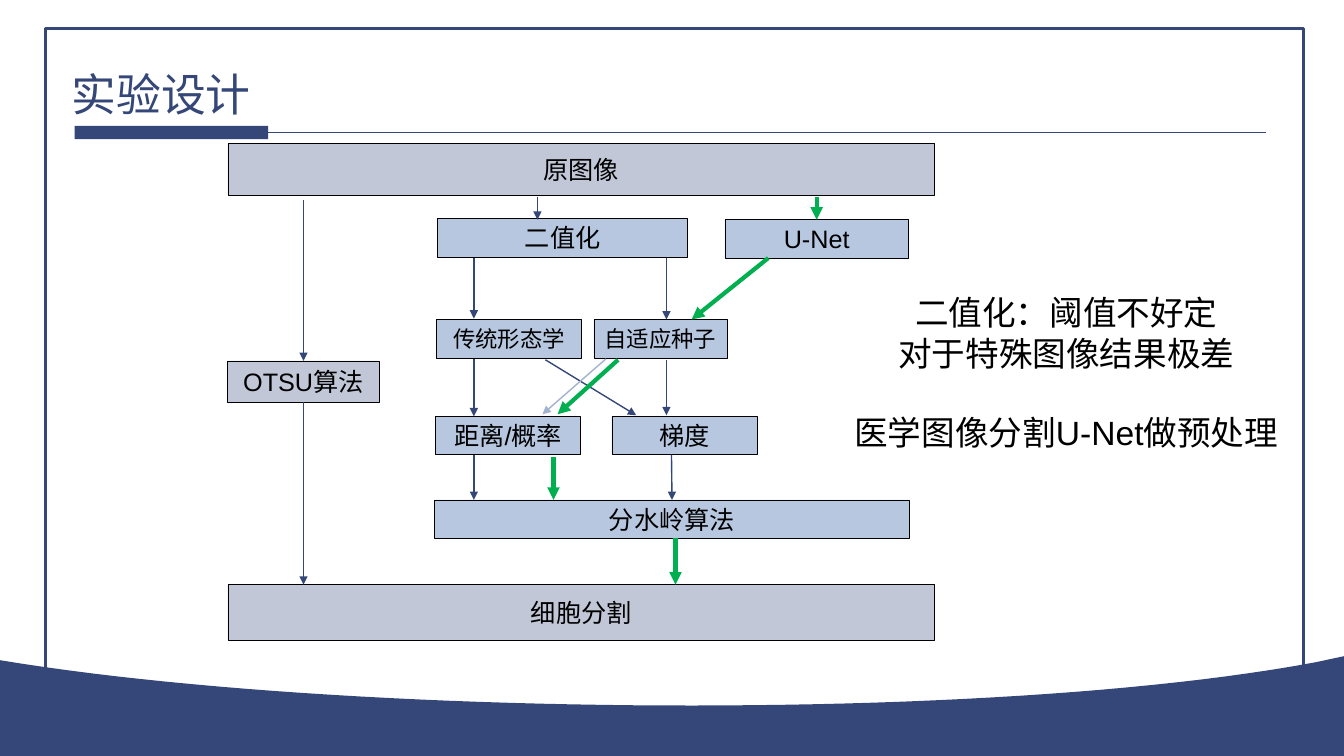
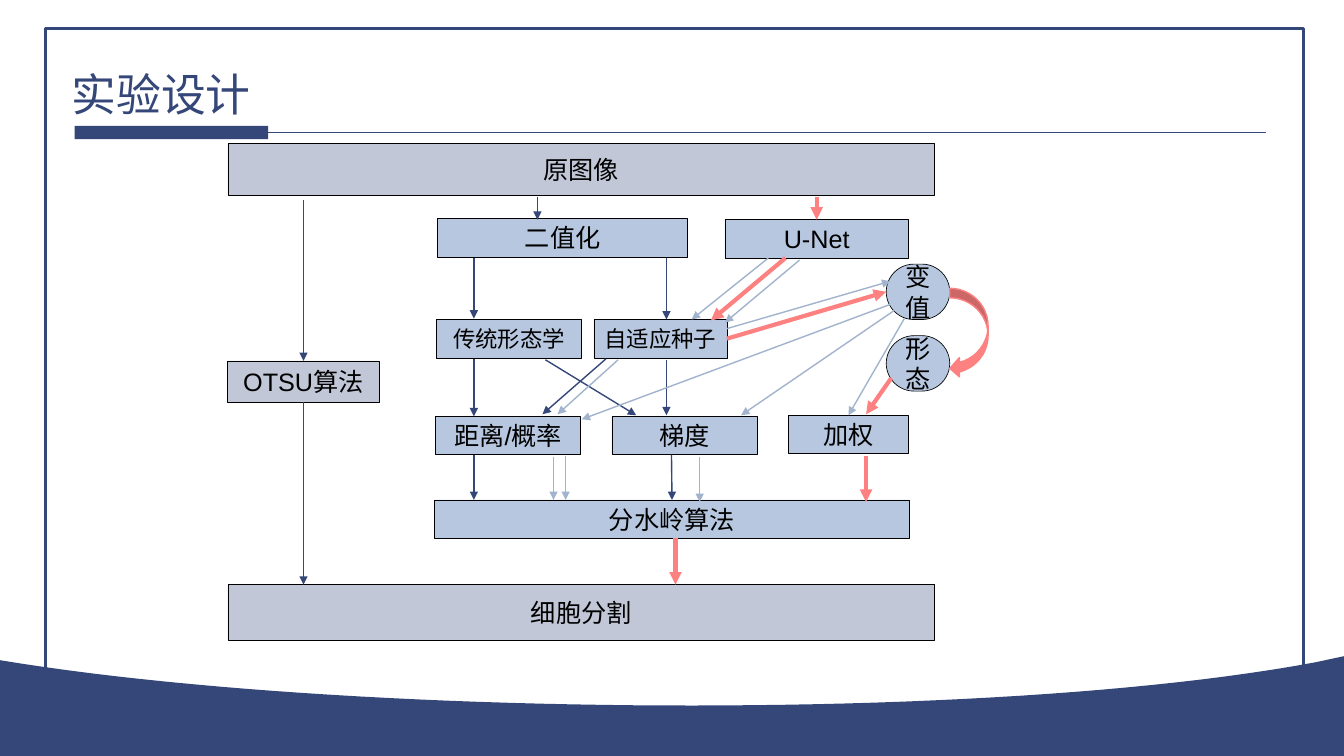
from lxml import etree
from pptx import Presentation
from pptx.dml.color import RGBColor
from pptx.enum.shapes import MSO_CONNECTOR as Connector, MSO_SHAPE as Preset
from pptx.enum.text import MSO_ANCHOR as Anchor, MSO_AUTO_SIZE as AutoSize, PP_ALIGN as Align
from pptx.oxml.ns import qn
from pptx.util import Inches, Pt

WIDTH, HEIGHT = 13.33, 7.5
FONT = "Arial"
COLORS = {
    "navy": "344778",
    "blue": "0E4797",
    "pale": "A2B3CD",
    "green": "00B050",
    "pink": "FE8181",
    "black": "000000",
    "white": "FFFFFF",
}

# Boxes: text, left, top, width, height, fill, text size
SHARED_BOXES = [
    ("原图像", 2.26, 1.42, 7.01, 0.52, "navy", 18),
    ("OTSU算法", 2.26, 3.58, 1.5, 0.41, "navy", 18),
    ("细胞分割", 2.26, 5.8, 7.01, 0.55, "navy", 18),
    ("二值化", 4.34, 2.17, 2.48, 0.38, "blue", 18),
    ("U-Net", 7.19, 2.18, 1.82, 0.38, "blue", 18),
    ("传统形态学", 4.33, 3.17, 1.44, 0.38, "blue", 16),
    ("自适应种子", 5.89, 3.17, 1.32, 0.38, "blue", 16),
    ("距离/概率", 4.32, 4.13, 1.44, 0.38, "blue", 18),
    ("梯度", 6.07, 4.13, 1.44, 0.38, "blue", 18),
    ("分水岭算法", 4.31, 4.96, 4.71, 0.38, "blue", 18),
]
WEIGHTING_BOX = ("加权", 7.82, 4.12, 1.19, 0.38, "blue", 18)
CAPSULES = [
    ("变值", 8.79, 2.62, 0.63, 0.55, "blue", 18),
    ("形态", 8.79, 3.33, 0.63, 0.55, "blue", 18),
]

# Arrows: start x, start y, end x, end y
OTSU_ARROWS = [(3.01, 1.98, 3.01, 3.58), (3.01, 3.99, 3.01, 5.8)]
SHARED_ARROWS = [
    (5.33, 1.95, 5.33, 2.18),
    (4.7, 2.56, 4.7, 3.16),
    (4.7, 3.56, 4.7, 4.13),
    (4.7, 4.51, 4.7, 4.96),
    (6.61, 2.56, 6.61, 3.17),
    (6.61, 3.57, 6.61, 4.12),
    (5.41, 3.57, 6.31, 4.12),
    (6.66, 4.51, 6.66, 4.96),
]
SEED_TO_DISTANCE = (6.01, 3.56, 5.38, 4.11)
UNET_ROUTE = [
    (7.62, 2.56, 6.86, 3.17),
    (6.13, 3.57, 5.53, 4.11),
    (5.49, 4.53, 5.49, 4.96),
]
WEIGHTED_ROUTE = [
    (7.79, 2.56, 7.05, 3.18),
    (7.21, 3.36, 8.79, 2.9),
    (8.84, 3.75, 8.59, 4.11),
    (8.59, 4.52, 8.59, 4.98),
]
OTHER_ROUTES = [
    (7.93, 2.58, 7.19, 3.2),
    (7.21, 3.26, 8.83, 2.79),
    (8.83, 3.02, 5.77, 4.16),
    (8.87, 3.08, 7.35, 4.12),
    (8.97, 3.16, 8.42, 4.12),
    (5.61, 4.52, 5.61, 4.96),
    (6.94, 4.53, 6.94, 4.98),
]
ROUTE_ENDS = [(8.1, 1.95, 8.1, 2.18), (6.7, 5.34, 6.7, 5.8)]


def rgb(name):
    return RGBColor.from_string(COLORS[name])


def style(shape, fill, line=None, line_width=1):
    shape.shadow.inherit = False
    shape.fill.solid()
    shape.fill.fore_color.rgb = rgb(fill)
    if line:
        shape.line.color.rgb = rgb(line)
        shape.line.width = Pt(line_width)
    else:
        shape.line.fill.background()


def add_preset(slide, preset, left, top, width, height, fill, line=None, line_width=1):
    shape = slide.shapes.add_shape(
        preset, Inches(left), Inches(top), Inches(width), Inches(height))
    style(shape, fill, line, line_width)
    return shape


def write(paragraph, text, size, color="black", align=Align.CENTER):
    paragraph.alignment = align
    run = paragraph.add_run()
    run.text = text
    run.font.name = FONT
    run.font.size = Pt(size)
    run.font.color.rgb = rgb(color)


def add_text_frame(slide, left, top, width, height):
    box = slide.shapes.add_textbox(
        Inches(left), Inches(top), Inches(width), Inches(height))
    frame = box.text_frame
    frame.word_wrap = True
    frame.auto_size = AutoSize.SHAPE_TO_FIT_TEXT
    return frame


def add_box(slide, text, left, top, width, height, fill, size, rounding=0):
    shape = add_preset(slide, Preset.ROUNDED_RECTANGLE, left, top, width, height,
                       fill, "black", 0.48)
    shape.adjustments[0] = rounding
    color = shape.fill._xPr.find(qn("a:solidFill"))[0]
    etree.SubElement(color, qn("a:alpha"), val="30000")
    frame = shape.text_frame
    frame.word_wrap = True
    frame.vertical_anchor = Anchor.MIDDLE
    frame.margin_left = frame.margin_right = Inches(0.05)
    write(frame.paragraphs[0], text, size)
    return shape


def add_line(slide, ends, color, width):
    line = slide.shapes.add_connector(
        Connector.STRAIGHT, *[Inches(value) for value in ends])
    line.line.color.rgb = rgb(color)
    line.line.width = Pt(width)
    etree.SubElement(line._element.spPr, qn("a:effectLst"))
    return line


def find_side(boxes, x, y):
    """Return the box and side whose middle lies at the point, if there is one."""
    for box in boxes:
        middle_x, middle_y = box.left + box.width / 2, box.top + box.height / 2
        sides = [(middle_x, box.top), (box.left, middle_y),
                 (middle_x, box.top + box.height), (box.left + box.width, middle_y)]
        for side, (side_x, side_y) in enumerate(sides):
            if max(abs(side_x - Inches(x)), abs(side_y - Inches(y))) < Inches(0.02):
                return box, side
    return None


def add_arrows(slide, boxes, arrows, color, width=1):
    for ends in arrows:
        arrow = add_line(slide, ends, color, width)
        etree.SubElement(arrow.line._get_or_add_ln(), qn("a:tailEnd"), type="triangle")
        start, end = find_side(boxes, *ends[:2]), find_side(boxes, *ends[2:])
        if start:
            arrow.begin_connect(*start)
        if end:
            arrow.end_connect(*end)


def add_bottom_band(slide):
    controls = [(0, 6.55), (3.38, 7.11), (9.79, 7.18), (13.05, 6.57)]
    steps = 48
    curve = []
    for step in range(steps + 1):
        t = step / steps
        weights = [(1 - t) ** 3, 3 * t * (1 - t) ** 2, 3 * t ** 2 * (1 - t), t ** 3]
        curve.append(tuple(
            Inches(sum(weight * point[axis] for weight, point in zip(weights, controls)))
            for axis in (0, 1)))
    corners = [(Inches(x), Inches(y))
               for x, y in [(WIDTH, 6.51), (WIDTH, HEIGHT), (0, HEIGHT)]]
    builder = slide.shapes.build_freeform(*corners[0])
    builder.add_line_segments(corners[1:] + curve, close=True)
    style(builder.convert_to_shape(), "navy")


def add_base_slide(presentation, title):
    slide = presentation.slides.add_slide(presentation.slide_layouts[6])
    add_preset(slide, Preset.RECTANGLE, 0.45, 0.28, 12.48, 7.01, "white", "navy", 2.25)
    add_bottom_band(slide)
    frame = add_text_frame(slide, 0.61, 0.61, 5.03, 0.64)
    write(frame.paragraphs[0], title, 32, "navy", Align.LEFT)
    add_preset(slide, Preset.RECTANGLE, 0.74, 1.25, 1.92, 0.13, "navy")
    add_line(slide, (2.65, 1.31, 12.56, 1.31), "navy", 0.75)
    return slide


def add_flow_slide(presentation):
    """Add a slide with the boxes and arrows common to both designs."""
    slide = add_base_slide(presentation, "实验设计")
    boxes = [add_box(slide, *box) for box in SHARED_BOXES]
    add_arrows(slide, boxes, OTSU_ARROWS, "navy", 0.5)
    add_arrows(slide, boxes, SHARED_ARROWS, "navy")
    return slide, boxes


def add_unet_slide(presentation):
    slide, boxes = add_flow_slide(presentation)
    add_arrows(slide, boxes, [SEED_TO_DISTANCE], "pale")
    add_arrows(slide, boxes, UNET_ROUTE + ROUTE_ENDS, "green", 3)
    frame = add_text_frame(slide, 8.35, 2.85, 4.45, 1.72)
    write(frame.paragraphs[0], "二值化：阈值不好定", 24)
    write(frame.add_paragraph(), "对于特殊图像结果极差", 24)
    remedy = frame.add_paragraph()
    remedy.space_before = Pt(28)
    write(remedy, "医学图像分割U-Net做预处理", 24)


def add_weighted_slide(presentation):
    slide, boxes = add_flow_slide(presentation)
    boxes.append(add_box(slide, *WEIGHTING_BOX))
    boxes += [add_box(slide, *capsule, rounding=0.5) for capsule in CAPSULES]
    add_arrows(slide, boxes, [SEED_TO_DISTANCE], "navy")
    add_arrows(slide, boxes, UNET_ROUTE + OTHER_ROUTES, "pale")
    add_arrows(slide, boxes, WEIGHTED_ROUTE + ROUTE_ENDS, "pink", 3)
    add_preset(slide, Preset.CURVED_LEFT_ARROW, 9.42, 2.86, 0.38, 0.89, "pink", "pink")


def main():
    presentation = Presentation()
    presentation.slide_width = Inches(WIDTH)
    presentation.slide_height = Inches(HEIGHT)
    add_unet_slide(presentation)
    add_weighted_slide(presentation)
    presentation.save("out.pptx")


if __name__ == "__main__":
    main()
